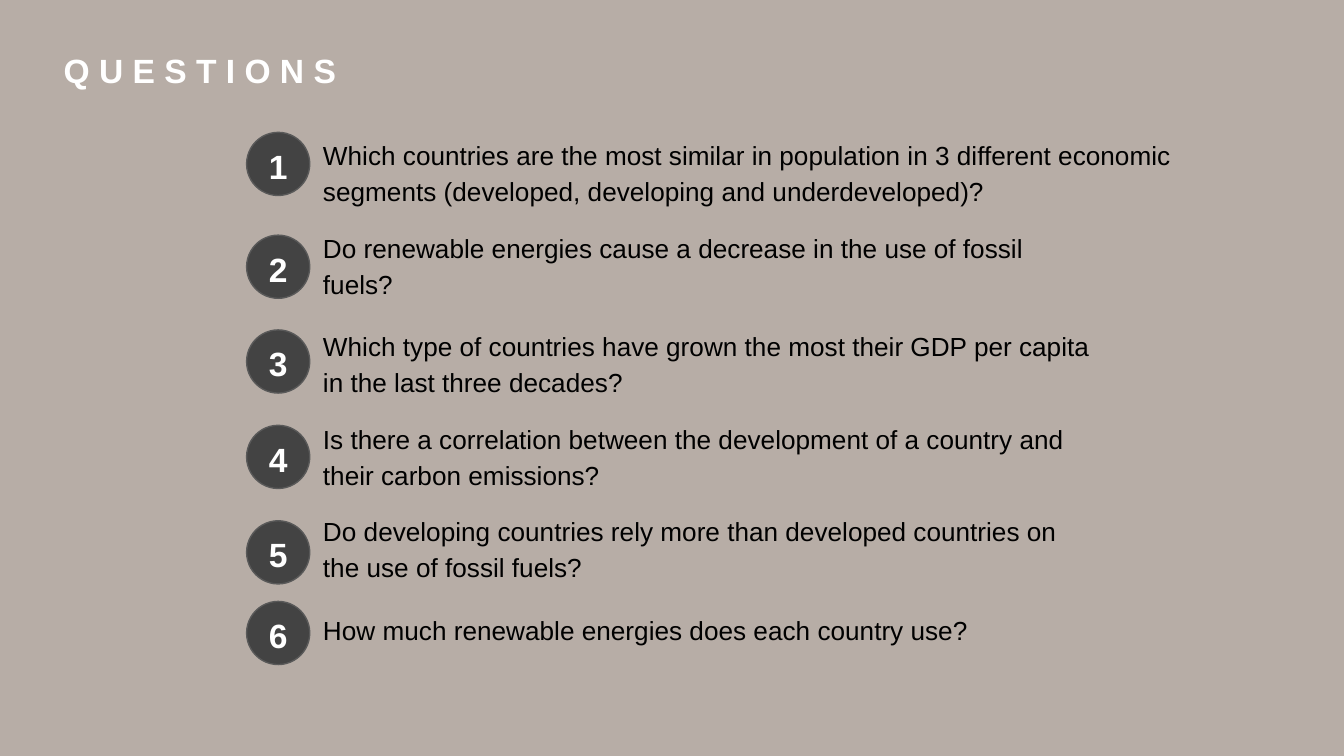
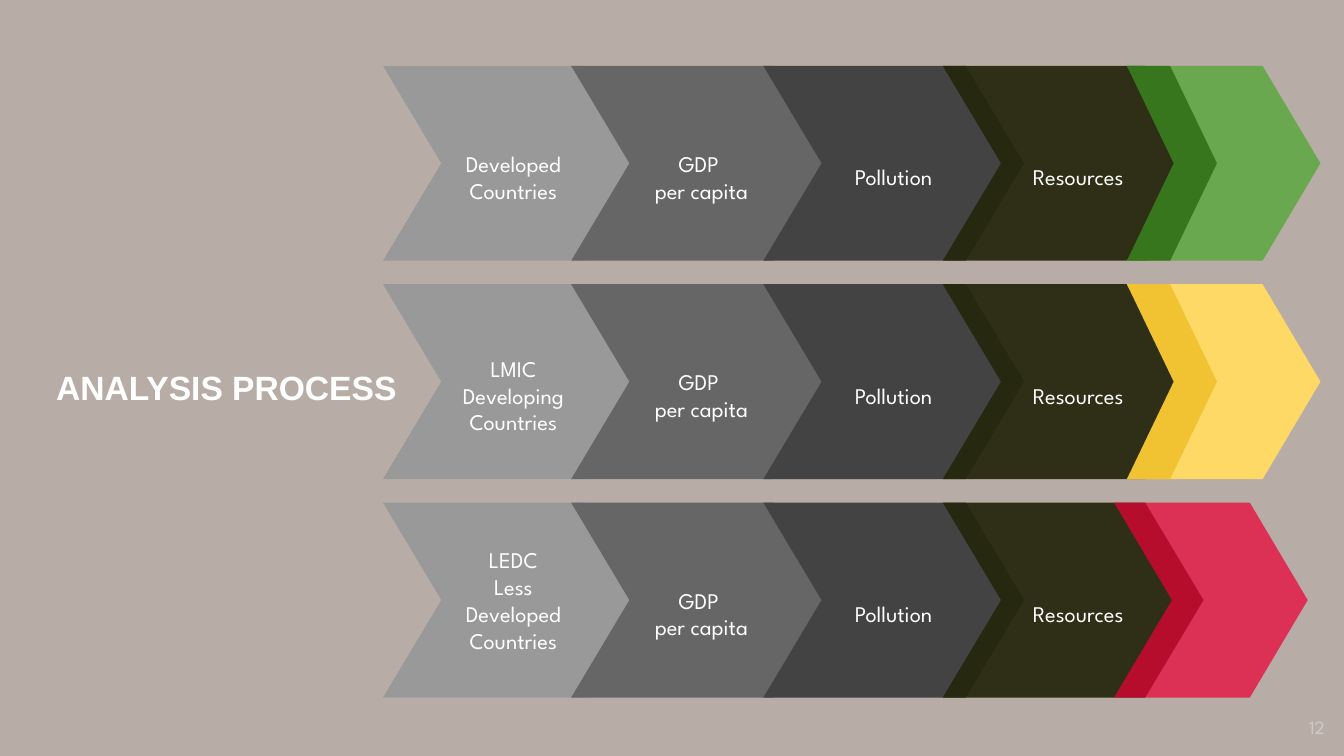
"""Builds the questions slide and the analysis process slide."""
from pptx import Presentation
from pptx.dml.color import RGBColor
from pptx.enum.shapes import MSO_SHAPE
from pptx.enum.text import MSO_ANCHOR, PP_ALIGN
from pptx.oxml.ns import qn
from pptx.util import Emu, Pt
from lxml.etree import SubElement

PX = 4572
BACKDROP = RGBColor(0xB7, 0xAD, 0xA6)
WHITE = RGBColor(0xFF, 0xFF, 0xFF)
BLACK = RGBColor(0x00, 0x00, 0x00)
PALE = RGBColor(0xD0, 0xCB, 0xC7)
SILVER = RGBColor(0x99, 0x99, 0x99)
GREY = RGBColor(0x66, 0x66, 0x66)
CHARCOAL = RGBColor(0x43, 0x43, 0x43)
DISC_EDGE = RGBColor(0x59, 0x59, 0x59)
OLIVE = RGBColor(0x24, 0x26, 0x0C)
GREEN = RGBColor(0x6A, 0xA8, 0x4F)
DARK_GREEN = RGBColor(0x38, 0x76, 0x1D)
YELLOW = RGBColor(0xFF, 0xD9, 0x66)
DARK_YELLOW = RGBColor(0xF1, 0xC2, 0x32)
RED = RGBColor(0xED, 0x00, 0x36)

BODY_FONT = "Arial"
STEP_FONT = "League Spartan"
INSET = 20
DISC_LEFT, DISC_SIZE = 367, 94
STEP_WIDTH, TIP_WIDTH, EDGE_WIDTH, ROW_HEIGHT = 388, 288, 134, 290
ROW_TOP, ROW_PITCH = 98, 325
POINT, EDGE_POINT = 0.299, 0.52
LABEL_DROP = 40

QUESTIONS = [
    (197, 0, ["Which countries are the most similar in population in 3 different economic",
              "segments (developed, developing and underdeveloped)?"]),
    (350, 11, ["Do renewable energies cause a decrease in the use of fossil",
               "fuels?"]),
    (491, 14, ["Which type of countries have grown the most their GDP per capita",
               "in the last three decades?"]),
    (633, 11, ["Is there a correlation between the development of a country and",
               "their carbon emissions?"]),
    (775, 11, ["Do developing countries rely more than developed countries on",
               "the use of fossil fuels?"]),
    (895, 14, ["How much renewable energies does each country use?"]),
]
COMMON_STEPS = [
    (850, GREY, 100, ["GDP ", "per capita"], 0),
    (1136, CHARCOAL, 100, ["Pollution"], 0),
    (1403, OLIVE, 93, ["Resources"], 15),
]
SEGMENTS = [
    (["Developed", "Countries"], LABEL_DROP, 1677, GREEN, 100, DARK_GREEN),
    (["LMIC", "Developing", "Countries"], LABEL_DROP, 1677, YELLOW, 100, DARK_YELLOW),
    (["LEDC", "Less Developed", "Countries"], 0, 1658, RED, 72, None),
]


def px(*lengths):
    """Turn px lengths into EMU."""
    return [Emu(length * PX) for length in lengths]


def set_insets(frame, left=INSET, top=INSET, right=INSET, bottom=INSET):
    """Wrap the text and set the frame margins."""
    frame.word_wrap = True
    (frame.margin_left, frame.margin_top,
     frame.margin_right, frame.margin_bottom) = px(left, top, right, bottom)


def write_lines(frame, lines, font, size, color, bold=False, align=PP_ALIGN.LEFT):
    """Write one paragraph per line and return the paragraphs."""
    for index, line in enumerate(lines):
        para = frame.add_paragraph() if index else frame.paragraphs[0]
        para.text = line
        para.alignment = align
        para.font.name = font
        para.font.size = Pt(size)
        para.font.bold = bold
        para.font.color.rgb = color
    return frame.paragraphs


def add_text(page, area, lines, font, size, color, bold=False,
             align=PP_ALIGN.LEFT, right=INSET):
    """Add a text box and return its paragraphs."""
    box = page.shapes.add_textbox(*px(*area))
    set_insets(box.text_frame, right=right)
    return write_lines(box.text_frame, lines, font, size, color, bold, align)


def add_page(deck, title, area):
    """Add a page with the shared backdrop and title style."""
    page = deck.slides.add_slide(deck.slide_layouts[6])
    page.background.fill.solid()
    page.background.fill.fore_color.rgb = BACKDROP
    add_text(page, area, [title], BODY_FONT, 18, WHITE, bold=True, right=0)
    return page


def add_filled(page, preset, area, color, opacity=100):
    """Add a flat preset shape without outline."""
    shape = page.shapes.add_shape(preset, *px(*area))
    shape.shadow.inherit = False
    shape.line.fill.background()
    shape.fill.solid()
    shape.fill.fore_color.rgb = color
    if opacity < 100:
        tint = shape.element.spPr.find(qn("a:solidFill"))[0]
        SubElement(tint, qn("a:alpha")).set("val", str(opacity * 1000))
    return shape


def add_disc(page, number, top):
    """Add a numbered disc."""
    area = (DISC_LEFT, top, DISC_SIZE, DISC_SIZE)
    disc = add_filled(page, MSO_SHAPE.OVAL, area, CHARCOAL)
    disc.line.color.rgb = DISC_EDGE
    disc.line.width = Pt(0.75)
    add_text(page, area, [str(number)], BODY_FONT, 18, WHITE, True, PP_ALIGN.CENTER)


def add_chevron(page, left, top, width, color, opacity=100, point=POINT):
    """Add a chevron of row height."""
    area = (left, top, width, ROW_HEIGHT)
    chevron = add_filled(page, MSO_SHAPE.CHEVRON, area, color, opacity)
    chevron.adjustments[0] = point
    return chevron


def add_step(page, left, top, color, opacity, lines, drop=LABEL_DROP, shift=0):
    """Add a chevron with a centred label."""
    frame = add_chevron(page, left, top, STEP_WIDTH, color, opacity).text_frame
    set_insets(frame, left=INSET + shift, top=INSET + drop)
    frame.vertical_anchor = MSO_ANCHOR.MIDDLE
    write_lines(frame, lines, STEP_FONT, 12, WHITE, align=PP_ALIGN.CENTER)


def build_questions(deck):
    """Build the page with the six questions."""
    page = add_page(deck, "Q U E S T I O N S", (75, 54, 616, 82))
    lines, gaps = [], []
    for top, gap, question in QUESTIONS:
        lines += question
        gaps += [gap] + [0] * (len(question) - 1)
    paras = add_text(page, (461, 181, 1388, 816), lines, BODY_FONT, 14, BLACK)
    for para, gap in zip(paras, gaps):
        para.line_spacing = 1.15
        para.space_before = Pt(gap)
    for number, (top, gap, question) in enumerate(QUESTIONS, 1):
        add_disc(page, number, top)


def build_process(deck):
    """Build the page with one row of chevrons per segment."""
    page = add_page(deck, "ANALYSIS PROCESS", (64, 526, 550, 82))
    for row, (name, drop, tip_left, tip, opacity, edge) in enumerate(SEGMENTS):
        top = ROW_TOP + row * ROW_PITCH
        add_step(page, 570, top, SILVER, 100, name, drop)
        for left, color, step_opacity, label, shift in COMMON_STEPS:
            add_step(page, left, top, color, step_opacity, label, shift=shift)
        add_chevron(page, tip_left, top, TIP_WIDTH, tip, opacity)
        if edge:
            add_chevron(page, tip_left, top, EDGE_WIDTH, edge, point=EDGE_POINT)
    add_text(page, (1870, 1049, 121, 72), ["12"], STEP_FONT, 10, PALE,
             align=PP_ALIGN.RIGHT)


def main():
    """Build and save the deck."""
    deck = Presentation()
    deck.slide_width, deck.slide_height = px(2000, 1125)
    build_questions(deck)
    build_process(deck)
    deck.save("out.pptx")


if __name__ == "__main__":
    main()
